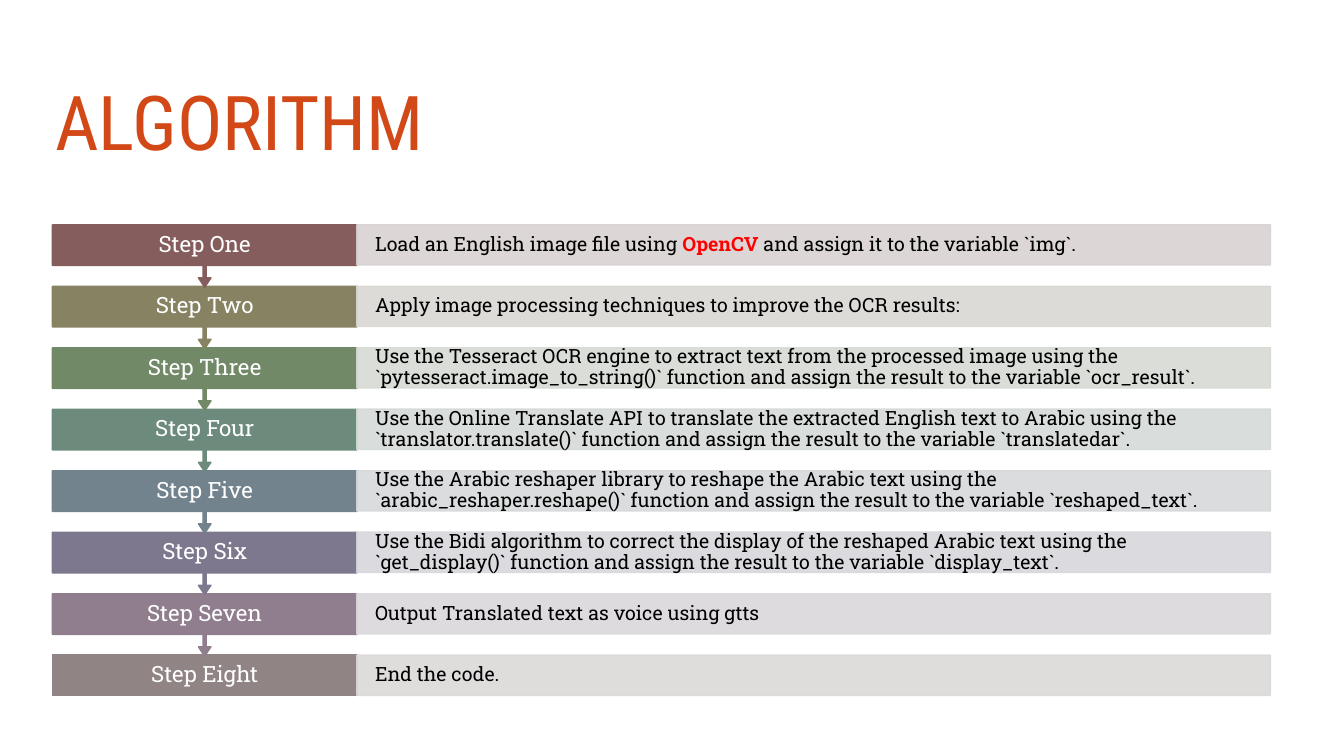
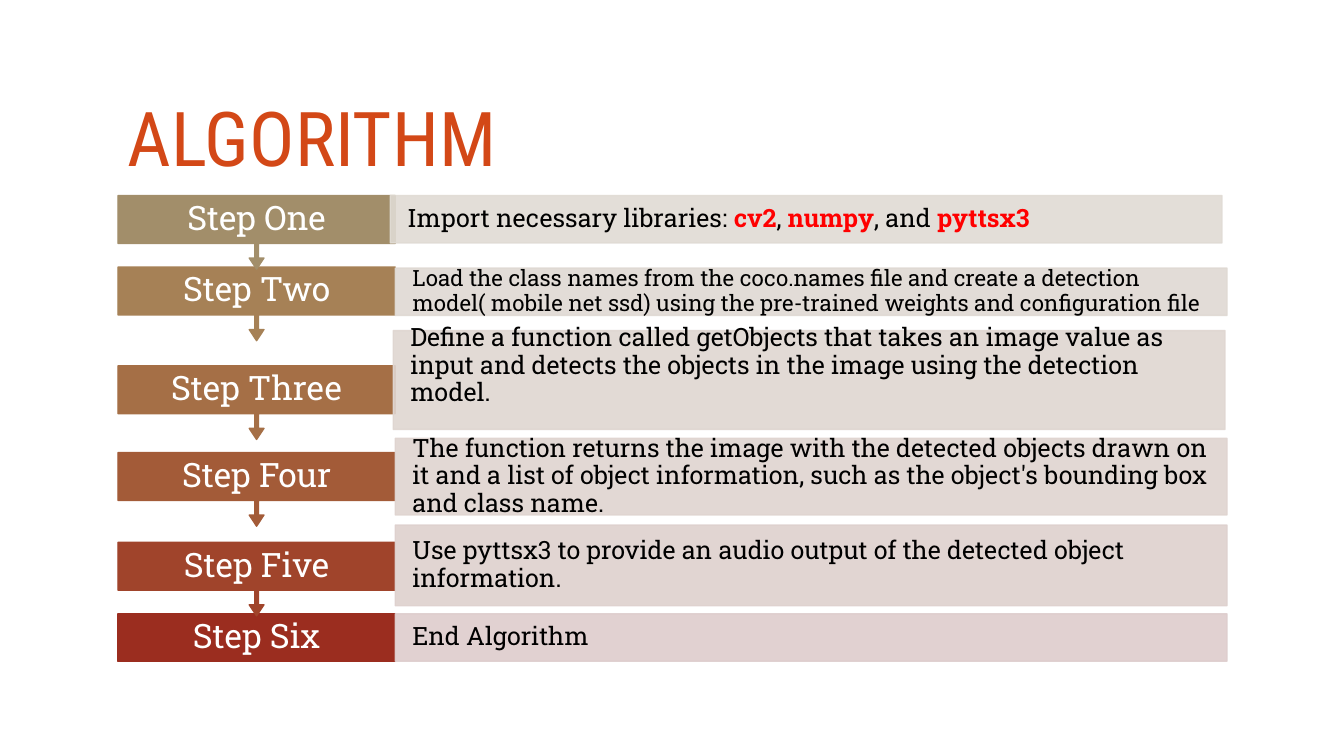
from lxml.etree import SubElement
from pptx import Presentation
from pptx.dml.color import RGBColor
from pptx.enum.shapes import MSO_SHAPE
from pptx.enum.text import MSO_ANCHOR, PP_ALIGN
from pptx.oxml.ns import qn
from pptx.util import Inches, Pt

TITLE_FONT = "Roboto Condensed"
BODY_FONT = "Roboto Slab"
ORANGE = RGBColor(0xD3, 0x48, 0x17)
RED = RGBColor(0xFF, 0x00, 0x00)
WHITE = RGBColor(0xFF, 0xFF, 0xFF)
BLACK = RGBColor(0x00, 0x00, 0x00)
MUTED_LABELS = [RGBColor.from_string(code) for code in (
    "855D5D", "878262", "728967", "6C8B7D", "72838D", "7D788E", "907E8E", "918485")]
MUTED_DETAILS = [RGBColor.from_string(code) for code in (
    "D9D2D2", "D9D8D3", "D6DAD4", "D5DAD8", "D6D9DA", "D8D7DB", "DBD8DB", "DCD9D9")]
WARM_LABELS = [RGBColor.from_string(code) for code in (
    "A28E6A", "A68156", "A56F46", "A35B38", "A0442B", "9B2D1F")]
WARM_DETAILS = [RGBColor.from_string(code) for code in (
    "E0DBD4", "DFD9D3", "DFD6D1", "DFD4D0", "DED1CE", "DECDCD")]

STEP_NAMES = ["One", "Two", "Three", "Four", "Five", "Six", "Seven", "Eight"]
CALLOUT_PROPORTIONS = (0.05, 0.1, 0.15, 0.65)
BOX_SHARE = CALLOUT_PROPORTIONS[-1]
LABEL_SHARE = 0.25
DETAIL_OPACITY = "90000"
MARK = "**"

TRANSLATION_TEXTS = [
    "Load an English image file using **OpenCV** and assign it to the variable `img`.",
    "Apply image processing techniques to improve the OCR results:",
    "Use the Tesseract OCR engine to extract text from the processed image using the "
    "`pytesseract.image_to_string()` function and assign the result to the variable `ocr_result`.",
    "Use the Online Translate API to translate the extracted English text to Arabic using the "
    "`translator.translate()` function and assign the result to the variable `translatedar`.",
    "Use the Arabic reshaper library to reshape the Arabic text using the "
    "`arabic_reshaper.reshape()` function and assign the result to the variable `reshaped_text`.",
    "Use the Bidi algorithm to correct the display of the reshaped Arabic text using the "
    "`get_display()` function and assign the result to the variable `display_text`.",
    "Output Translated text as voice using gtts",
    "End the code.",
]
TRANSLATION_ROWS = [
    (2.23 + 0.61 * row, 3.54, 2.23 + 0.61 * row, 0.4, 14, 0, text)
    for row, text in enumerate(TRANSLATION_TEXTS)]

DETECTION_ROWS = [
    (1.94, 3.87, 1.94, 0.47, 18, 0,
     "Import necessary libraries: **cv2**, **numpy**, and **pyttsx3**"),
    (2.65, 3.92, 2.66, 0.47, 16, 0,
     "Load the class names from the coco.names file and create a detection model( mobile net ssd) "
     "using the pre-trained weights and configuration file"),
    (3.63, 3.9, 3.28, 0.98, 18, 0.28,
     "Define a function called getObjects that takes an image value as input and detects "
     "the objects in the image using the detection model."),
    (4.49, 3.92, 4.35, 0.76, 18, 0,
     "The function returns the image with the detected objects drawn on it and a list of "
     "object information, such as the object's bounding box and class name."),
    (5.38, 3.92, 5.21, 0.8, 18, 0,
     "Use pyttsx3 to provide an audio output of the detected object information."),
    (6.09, 3.92, 6.09, 0.47, 18, 0, "End Algorithm"),
]

FLOWS = [
    ((0.45, 0.37), 0.52, 12.08, 0.62, 16, 0.18, MUTED_LABELS, MUTED_DETAILS, TRANSLATION_ROWS),
    ((1.17, 0.53), 1.17, 11, 0.73, 24, 0.17, WARM_LABELS, WARM_DETAILS, DETECTION_ROWS),
]


def add_box(slide, preset, left, top, width, height, color):
    shape = slide.shapes.add_shape(
        preset, Inches(left), Inches(top), Inches(width), Inches(height))
    shape.shadow.inherit = False
    shape.fill.solid()
    shape.fill.fore_color.rgb = color
    shape.line.color.rgb = color
    shape.line.width = Pt(1)
    return shape


def set_text(shape, text, font_name, size, color, alignment, side_inset, bottom_inset=0):
    text_frame = shape.text_frame
    text_frame.word_wrap = True
    text_frame.vertical_anchor = MSO_ANCHOR.MIDDLE
    text_frame.margin_left = text_frame.margin_right = Inches(side_inset)
    text_frame.margin_top = 0
    text_frame.margin_bottom = Inches(bottom_inset)
    paragraph = text_frame.paragraphs[0]
    paragraph.alignment = alignment
    paragraph.line_spacing = 0.9
    for index, part in enumerate(text.split(MARK)):
        if part:
            highlighted = index % 2 == 1
            run = paragraph.add_run()
            run.text = part
            run.font.name = font_name
            run.font.size = Pt(size)
            run.font.bold = highlighted
            run.font.color.rgb = RED if highlighted else color


presentation = Presentation()
presentation.slide_width = Inches(13.33)
presentation.slide_height = Inches(7.5)

for (title_position, flow_left, flow_width, callout_height, label_size,
     detail_inset, label_colors, detail_colors, rows) in FLOWS:
    slide = presentation.slides.add_slide(presentation.slide_layouts[6])
    title_left, title_top = title_position
    title = slide.shapes.add_textbox(
        Inches(title_left), Inches(title_top), Inches(11), Inches(1.76))
    set_text(title, "ALGORITHM", TITLE_FONT, 54, ORANGE, PP_ALIGN.LEFT, 0.1)

    label_width = flow_width * LABEL_SHARE
    detail_width = flow_width - label_width
    steps = list(zip(STEP_NAMES, label_colors, detail_colors, rows))
    for step_name, label_color, detail_color, row in reversed(steps):
        label_top, detail_left, detail_top, detail_height, detail_size, bottom_inset, text = row
        if row is rows[-1]:
            label = add_box(slide, MSO_SHAPE.RECTANGLE, flow_left, label_top,
                            label_width, callout_height * BOX_SHARE, label_color)
        else:
            label = add_box(slide, MSO_SHAPE.DOWN_ARROW_CALLOUT, flow_left, label_top,
                            label_width, callout_height, label_color)
            for index, proportion in enumerate(CALLOUT_PROPORTIONS):
                label.adjustments[index] = proportion
        set_text(label, f"Step {step_name}", BODY_FONT, label_size, WHITE, PP_ALIGN.CENTER, 0.2)

        detail = add_box(slide, MSO_SHAPE.RECTANGLE, detail_left, detail_top,
                         detail_width, detail_height, detail_color)
        for color_element in detail.element.spPr.iter(qn("a:srgbClr")):
            SubElement(color_element, qn("a:alpha"), val=DETAIL_OPACITY)
        set_text(detail, text, BODY_FONT, detail_size, BLACK, PP_ALIGN.LEFT,
                 detail_inset, bottom_inset)

presentation.save("out.pptx")
